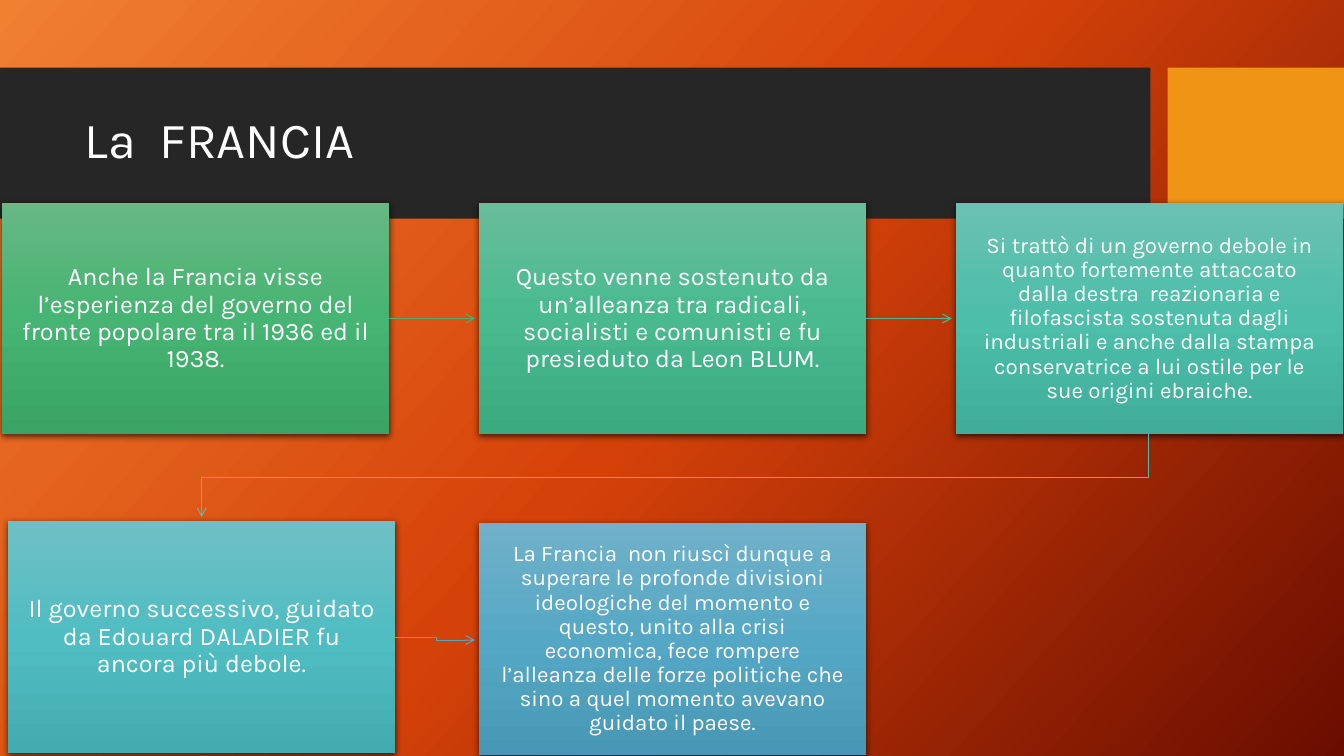
import lxml.etree
import pptx
import pptx.dml.color
import pptx.enum.shapes
import pptx.enum.text
import pptx.oxml.ns
import pptx.util

Inches = pptx.util.Inches
Pt = pptx.util.Pt
qn = pptx.oxml.ns.qn

COLORS = {
    "text": "FFFFFF",
    "title_band": "262626",
    "accent_block": "F09415",
    "shadow": "000000",
    "background": ("F18031", "D54209", "6A0D00"),
    "green": ("67B884", "46B472", "3AA464"),
    "jade": ("68BD9A", "48BA8E", "3BAA7F"),
    "teal": ("6BC1B1", "4CBEAA", "3FAD9A"),
    "cyan": ("6EC0C4", "50BDC2", "43ACB1"),
    "blue": ("71B0C8", "55A8C5", "4798B4"),
    "green_arrow": "4BAF73",
    "jade_arrow": "4EB696",
    "teal_arrow": "54BBB8",
    "cyan_arrow": "5AA6C0",
}

BOX_WIDTH, BOX_HEIGHT = 3.84, 2.3
LEFT, TOP, COLUMN_STEP = 0.02, 2.01, 4.73
ARROW_GAP = 0.04

STEPS = [
    (LEFT, TOP, "green", 18,
     "Anche la Francia visse l’esperienza del governo del fronte popolare tra il 1936 ed il 1938."),
    (LEFT + COLUMN_STEP, TOP, "jade", 18,
     "Questo venne sostenuto da un’alleanza tra radicali, socialisti e comunisti e fu presieduto "
     "da Leon BLUM."),
    (LEFT + 2 * COLUMN_STEP, TOP, "teal", 16,
     "Si trattò di un governo debole in quanto fortemente attaccato dalla destra  reazionaria e "
     "filofascista sostenuta dagli industriali e anche dalla stampa conservatrice a lui ostile "
     "per le sue origini ebraiche."),
    (0.08, 5.17, "cyan", 18,
     "Il governo successivo, guidato da Edouard DALADIER fu ancora più debole."),
    (LEFT + COLUMN_STEP, 5.19, "blue", 16,
     "La Francia  non riuscì dunque a superare le profonde divisioni ideologiche del momento e "
     "questo, unito alla crisi economica, fece rompere l’alleanza delle forze politiche che sino "
     "a quel momento avevano guidato il paese."),
]


class FlowSlide:
    """Draws the elements of a flow slide in one shared style."""

    font_name = "Karla"

    def __init__(self, slide):
        self.slide = slide

    def rgb(self, name):
        return pptx.dml.color.RGBColor.from_string(COLORS[name])

    def gradient(self, fill, owner, name, angle):
        fill.gradient()
        gradient = owner.find(".//" + qn("a:gradFill"))
        stops = gradient.find(qn("a:gsLst"))
        for stop in list(stops):
            stops.remove(stop)
        for position, color in zip((0, 50000, 100000), COLORS[name]):
            stop = lxml.etree.SubElement(stops, qn("a:gs"), pos=str(position))
            lxml.etree.SubElement(stop, qn("a:srgbClr"), val=color)
        gradient.find(qn("a:lin")).set("ang", str(angle * 60000))

    def background(self):
        self.gradient(self.slide.background.fill, self.slide.element, "background", 42)

    def rectangle(self, left, top, width, height):
        rectangle = self.slide.shapes.add_shape(
            pptx.enum.shapes.MSO_SHAPE.RECTANGLE,
            Inches(left), Inches(top), Inches(width), Inches(height))
        rectangle.shadow.inherit = False
        rectangle.line.fill.background()
        return rectangle

    def band(self, left, top, width, height, color):
        band = self.rectangle(left, top, width, height)
        band.fill.solid()
        band.fill.fore_color.rgb = self.rgb(color)

    def set_text(self, frame, text, size, alignment):
        frame.word_wrap = True
        frame.vertical_anchor = pptx.enum.text.MSO_ANCHOR.MIDDLE
        paragraph = frame.paragraphs[0]
        paragraph.text = text
        paragraph.alignment = alignment
        paragraph.line_spacing = 0.9
        paragraph.font.name = self.font_name
        paragraph.font.size = Pt(size)
        paragraph.font.color.rgb = self.rgb("text")

    def title(self, text):
        title = self.slide.shapes.add_textbox(Inches(0.74), Inches(0.82), Inches(10.51), Inches(1.18))
        self.set_text(title.text_frame, text, 36, pptx.enum.text.PP_ALIGN.LEFT)

    def box(self, left, top, color, size, text):
        box = self.rectangle(left, top, BOX_WIDTH, BOX_HEIGHT)
        self.gradient(box.fill, box.element, color, 90)
        shadow = lxml.etree.SubElement(
            box.element.spPr.find(qn("a:effectLst")), qn("a:outerShdw"),
            blurRad=str(Pt(4.5)), dist=str(Pt(1.5)), dir="5400000", algn="ctr", rotWithShape="0")
        shade = lxml.etree.SubElement(shadow, qn("a:srgbClr"), val=COLORS["shadow"])
        lxml.etree.SubElement(shade, qn("a:alpha"), val="63000")
        frame = box.text_frame
        frame.margin_left = frame.margin_right = Inches(0.19)
        frame.margin_top = frame.margin_bottom = Inches(0.2)
        self.set_text(frame, text, size, pptx.enum.text.PP_ALIGN.CENTER)
        return box

    def arrow_line(self, arrow, color):
        arrow.line.color.rgb = self.rgb(color)
        arrow.line.width = Pt(0.75)
        outline = arrow.element.spPr.find(qn("a:ln"))
        lxml.etree.SubElement(outline, qn("a:tailEnd"), type="arrow")

    def straight_arrow(self, source, target, color):
        middle = source.top + source.height // 2
        arrow = self.slide.shapes.add_connector(
            pptx.enum.shapes.MSO_CONNECTOR.STRAIGHT,
            source.left + source.width, middle, target.left - Inches(ARROW_GAP), middle)
        arrow.begin_connect(source, 3)
        self.arrow_line(arrow, color)
        lxml.etree.SubElement(arrow.element.spPr, qn("a:effectLst"))

    def bent_arrow(self, points, color):
        start, *corners = [(Inches(x), Inches(y)) for x, y in points]
        builder = self.slide.shapes.build_freeform(*start)
        builder.add_line_segments(corners, close=False)
        arrow = builder.convert_to_shape()
        arrow.fill.background()
        arrow.shadow.inherit = False
        self.arrow_line(arrow, color)


def main():
    presentation = pptx.Presentation()
    presentation.slide_width = Inches(13.33)
    presentation.slide_height = Inches(7.5)
    flow = FlowSlide(presentation.slides.add_slide(presentation.slide_layouts[6]))

    flow.background()
    flow.band(0, 0.67, 11.41, 1.5, "title_band")
    flow.band(11.58, 0.67, 1.75, 1.5, "accent_block")
    flow.title("La  FRANCIA")

    popular_front, alliance, weakness, *later_steps = [flow.box(*step) for step in STEPS]
    flow.straight_arrow(popular_front, alliance, "green_arrow")
    flow.straight_arrow(alliance, weakness, "jade_arrow")
    flow.bent_arrow([(11.39, 4.31), (11.39, 4.74), (2, 4.74), (2, 5.13)], "teal_arrow")
    flow.bent_arrow([(3.92, 6.32), (4.33, 6.32), (4.33, 6.35), (4.71, 6.35)], "cyan_arrow")

    presentation.save("out.pptx")


if __name__ == "__main__":
    main()
